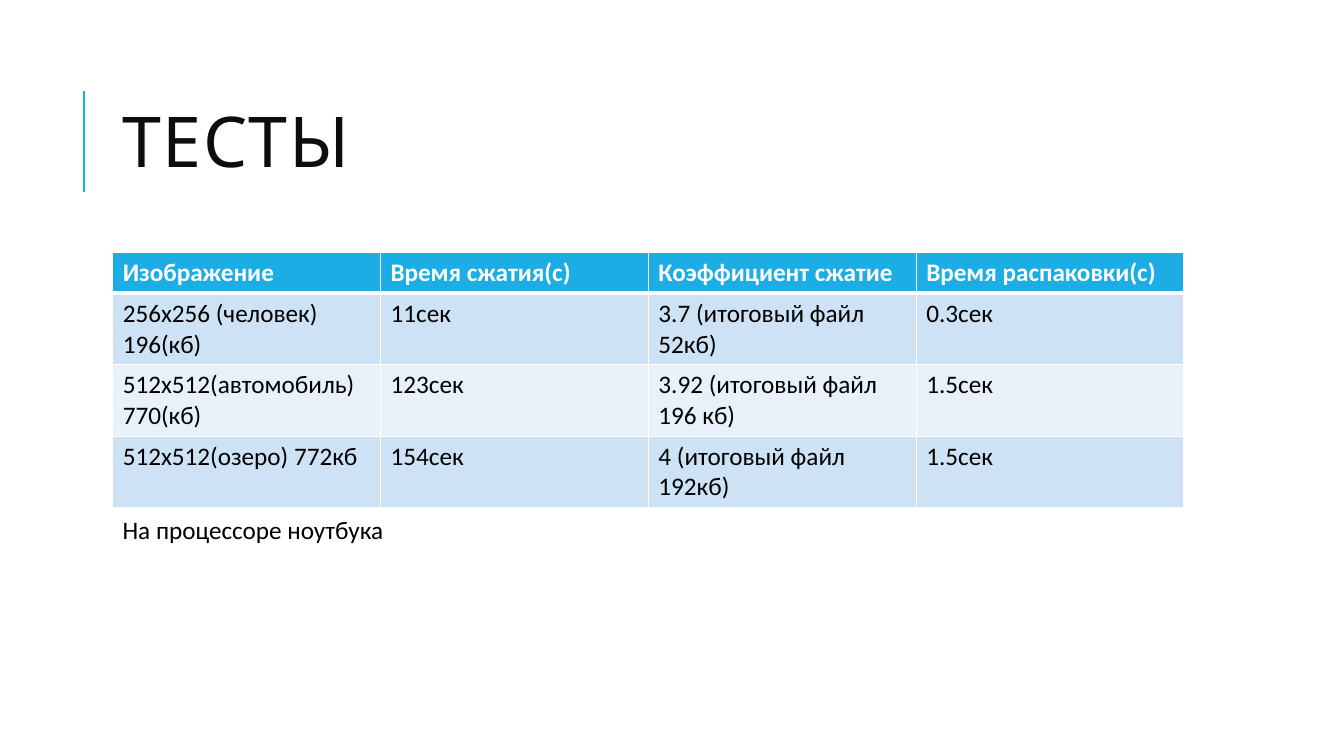
from lxml.etree import SubElement
from pptx import Presentation
from pptx.dml.color import RGBColor as Rgb
from pptx.enum.shapes import MSO_CONNECTOR as Connector
from pptx.enum.text import MSO_ANCHOR as Anchor
from pptx.oxml.ns import qn
from pptx.util import Cm, Pt

COLORS = {
    "accent": "1CADE4", "title": "0D0D0D", "text": "000000",
    "white": "FFFFFF", "band_dark": "CDE3F5", "band_light": "E8F1FA",
}


class SlideBuilder:
    title_font = "Cabin"
    body_font = "Calibri"
    body_size = 18

    def __init__(self, slide):
        self.slide = slide

    def color(self, key):
        return Rgb.from_string(COLORS[key])

    def style(self, frame, font, size, color, bold=False):
        for paragraph in frame.paragraphs:
            for run in paragraph.runs:
                run.font.name = font
                run.font.size = Pt(size)
                run.font.bold = bold
                run.font.color.rgb = self.color(color)

    def line(self, x, top, bottom):
        rule = self.slide.shapes.add_connector(
            Connector.STRAIGHT, Cm(x), Cm(bottom), Cm(x), Cm(top))
        rule.line.color.rgb = self.color("accent")
        rule.line.width = Pt(1.5)
        SubElement(rule._element.spPr, qn("a:effectLst"))

    def text(self, content, left, top, width, height):
        frame = self.slide.shapes.add_textbox(
            Cm(left), Cm(top), Cm(width), Cm(height)).text_frame
        frame.word_wrap = True
        frame.text = content
        self.style(frame, self.body_font, self.body_size, "text")
        return frame

    def title(self, content, left, top, width, height):
        frame = self.text(content, left, top, width, height)
        frame.vertical_anchor = Anchor.MIDDLE
        heading = frame.paragraphs[0]
        heading.line_spacing = 0.8
        self.style(frame, self.title_font, 50, "title")
        heading.runs[0].font._element.set("spc", "100")

    def border(self, cell, side, width):
        edge = SubElement(cell._tc.get_or_add_tcPr(), qn(f"a:ln{side}"), w=str(Pt(width)))
        fill = SubElement(edge, qn("a:solidFill"))
        SubElement(fill, qn("a:srgbClr"), val=COLORS["white"])

    def table(self, rows, left, top, width, heights):
        grid = self.slide.shapes.add_table(
            len(rows), len(rows[0]), Cm(left), Cm(top), Cm(width), Cm(sum(heights))).table
        for row_index, (row, height) in enumerate(zip(rows, heights)):
            grid.rows[row_index].height = Cm(height)
            header = row_index == 0
            band = "band_dark" if row_index % 2 else "band_light"
            widths = {"L": 1, "R": 1, "T": 3 if row_index == 1 else 1, "B": 3 if header else 1}
            for column_index, content in enumerate(row):
                cell = grid.cell(row_index, column_index)
                cell.text = content
                for side, thickness in widths.items():
                    self.border(cell, side, thickness)
                cell.fill.solid()
                cell.fill.fore_color.rgb = self.color("accent" if header else band)
                self.style(cell.text_frame, self.body_font, self.body_size,
                           "white" if header else "text", header)


RESULTS = [
    ["Изображение", "Время сжатия(с)", "Коэффициент сжатие", "Время распаковки(с)"],
    ["256х256 (человек) 196(кб)", "11сек", "3.7 (итоговый файл 52кб)", "0.3сек"],
    ["512х512(автомобиль) 770(кб)", "123сек", "3.92 (итоговый файл 196 кб)", "1.5сек"],
    ["512х512(озеро) 772кб", "154сек", "4 (итоговый файл 192кб)", "1.5сек"],
]
LEFT, WIDTH = 2.84, 27

deck = Presentation()
deck.slide_width, deck.slide_height = Cm(33.87), Cm(19.05)
tests = SlideBuilder(deck.slides.add_slide(deck.slide_layouts[6]))
tests.line(2.12, 2.29, 4.83)
tests.title("ТЕСТЫ", LEFT, 1.63, WIDTH, 4.17)
tests.table(RESULTS, LEFT, 6.36, WIDTH, [1.03] + [1.8] * 3)
tests.text("На процессоре ноутбука", LEFT, 12.83, 13.08, 1.03)
deck.save("out.pptx")
